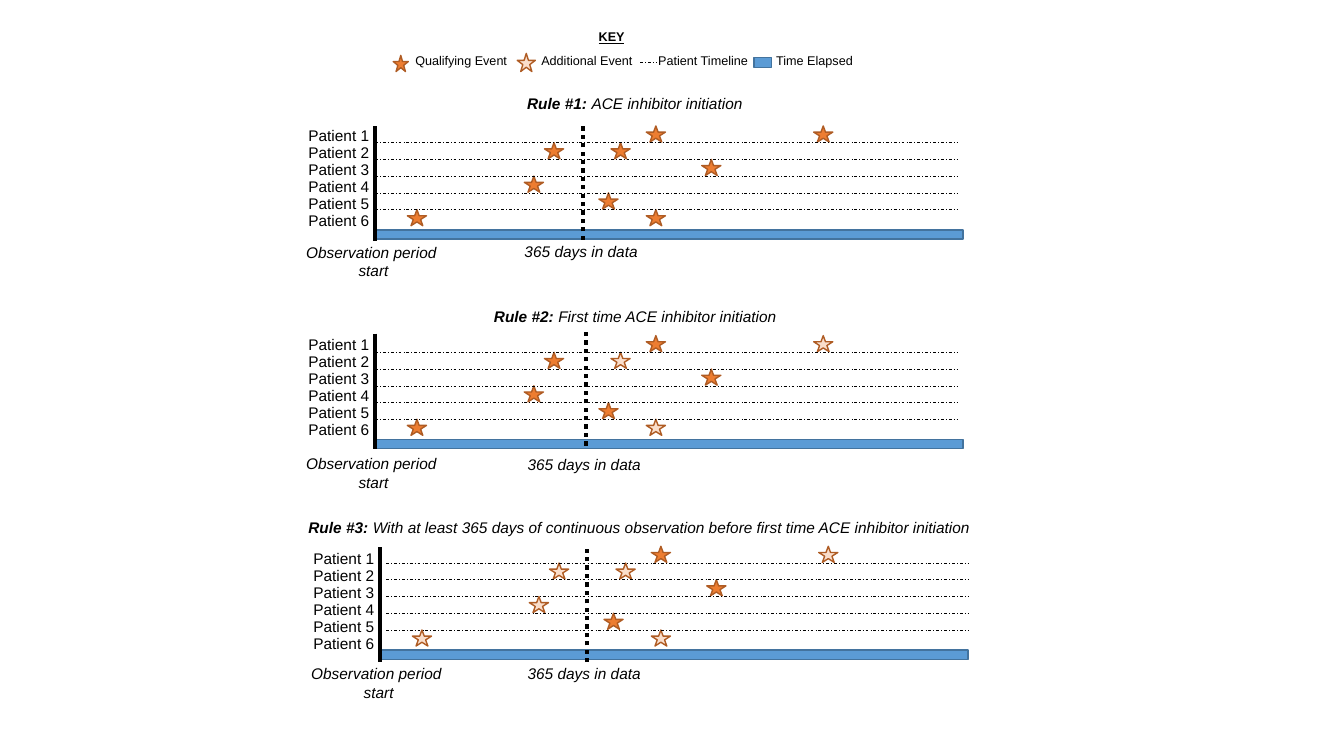
"""Draw patient timelines under three cohort entry rules."""
from dataclasses import dataclass

from lxml import etree
from pptx import Presentation
from pptx.dml.color import RGBColor
from pptx.enum.dml import MSO_LINE
from pptx.enum.shapes import MSO_CONNECTOR, MSO_SHAPE
from pptx.enum.text import PP_ALIGN
from pptx.oxml.ns import qn
from pptx.util import Inches, Pt

STAR = MSO_SHAPE.STAR_5_POINT
BAR = MSO_SHAPE.RECTANGLE
STRAIGHT = MSO_CONNECTOR.STRAIGHT
DASH_DOT = MSO_LINE.DASH_DOT
DOTTED = MSO_LINE.ROUND_DOT
LEFT = PP_ALIGN.LEFT
CENTER = PP_ALIGN.CENTER

BLACK = RGBColor(0x00, 0x00, 0x00)
ORANGE = RGBColor(0xED, 0x7D, 0x31)
DARK_ORANGE = RGBColor(0xAF, 0x5C, 0x24)
BLUE = RGBColor(0x5B, 0x9B, 0xD5)
DARK_BLUE = RGBColor(0x43, 0x73, 0x9E)

PATIENTS = 6
ROW_STEP = 0.166
LABEL_STEP = 0.168
AXIS_HEIGHT = 1.14
EVENTS = [(1, 2.69), (1, 4.35), (2, 1.68), (2, 2.34), (3, 3.24),
          (4, 1.48), (5, 2.22), (6, 0.32), (6, 2.69)]


@dataclass
class Rule:
    name: str
    description: str
    title_box: tuple
    axis: tuple
    first_star_top: float
    first_label_top: float
    timeline_left: float
    year_mark: tuple
    start_caption_top: float
    year_caption: tuple
    additional: set


RULES = [
    Rule("Rule #1: ", "ACE inhibitor initiation", (5.13, 0.88, 2.37, 0.29),
         (3.72, 1.25), 1.25, 1.2, 3.72, (5.78, 1.24), 2.36, (5.1, 2.35), set()),
    Rule("Rule #2: ", "First time ACE inhibitor initiation", (4.8, 3, 3.01, 0.29),
         (3.72, 3.31), 3.33, 3.28, 3.72, (5.81, 3.28), 4.46, (5.13, 4.47), {1, 3, 8}),
    Rule("Rule #3: ",
         "With at least 365 days of continuous observation before first time ACE inhibitor initiation",
         (2.96, 5.09, 6.79, 0.29),
         (3.77, 5.43), 5.42, 5.4, 3.83, (5.82, 5.43), 6.54, (5.13, 6.54),
         {1, 2, 3, 5, 7, 8}),
]


class TimelineSlide:
    """Hold the text style and the slide being drawn."""

    def __init__(self, slide, font="Arial", size=11):
        self.shapes = slide.shapes
        self.font = font
        self.size = size

    def text(self, box, *parts, size=None, bold=False, italic=False,
             underline=False, align=LEFT, wrap=True):
        frame = self.shapes.add_textbox(*map(Inches, box)).text_frame
        frame.word_wrap = wrap
        paragraph = frame.paragraphs[0]
        paragraph.text = parts[0]
        paragraph.alignment = align
        for part in parts[1:]:
            paragraph.add_run().text = part
        for run in paragraph.runs:
            run.font.name = self.font
            run.font.size = Pt(size or self.size)
            run.font.color.rgb = BLACK
            run.font.bold = bold
            run.font.italic = italic
            run.font.underline = underline
        return paragraph

    def block(self, kind, box, fill, outline):
        shape = self.shapes.add_shape(kind, *map(Inches, box))
        shape.shadow.inherit = False
        shape.fill.solid()
        shape.fill.fore_color.rgb = fill
        shape.line.color.rgb = outline
        shape.line.width = Pt(1)
        return shape

    def bar(self, box):
        self.block(BAR, box, BLUE, DARK_BLUE)

    def star(self, box, additional=False):
        shape = self.block(STAR, box, ORANGE, DARK_ORANGE)
        if additional:
            color = shape.element.spPr.find(qn("a:solidFill")).find(qn("a:srgbClr"))
            etree.SubElement(color, qn("a:alpha")).set("val", "25000")

    def line(self, left, top, right, bottom, width, dash=None):
        connector = self.shapes.add_connector(
            STRAIGHT, *map(Inches, (left, top, right, bottom)))
        connector.line.color.rgb = BLACK
        connector.line.width = Pt(width)
        if dash:
            connector.line.dash_style = dash
        etree.SubElement(connector.element.spPr, qn("a:effectLst"))

    def key(self):
        self.text((5.84, 0.24, 0.6, 0.27), "KEY", size=9, bold=True, underline=True)
        self.star((3.9, 0.55, 0.15, 0.16))
        self.star((5.13, 0.53, 0.18, 0.18), additional=True)
        self.line(6.35, 0.62, 6.52, 0.62, 0.5, DASH_DOT)
        self.bar((7.48, 0.57, 0.17, 0.1))
        for left, label in [(4.02, "Qualifying Event"), (5.27, "Additional Event"),
                            (6.43, "Patient Timeline"), (7.6, "Time Elapsed")]:
            self.text((left, 0.48, 1.31, 0.27), label, size=9)

    def rule(self, rule):
        axis_left, axis_top = rule.axis
        mark_left, mark_top = rule.year_mark
        star_top = rule.first_star_top
        title = self.text(rule.title_box, rule.name, rule.description,
                          italic=True, wrap=False)
        title.runs[0].font.bold = True
        self.bar((axis_left - 0.01, star_top + 1.03, 5.84, 0.09))
        for index, (patient, offset) in enumerate(EVENTS):
            top = star_top + (patient - 1) * ROW_STEP
            self.star((axis_left + offset, top, 0.19, 0.16), index in rule.additional)
        for row in range(1, PATIENTS):
            top = star_top + row * ROW_STEP
            self.line(rule.timeline_left, top, rule.timeline_left + 5.77, top,
                      0.5, DASH_DOT)
        for row in range(PATIENTS):
            top = rule.first_label_top + row * LABEL_STEP
            self.text((axis_left - 0.76, top, 0.83, 0.31), f"Patient {row + 1}")
        self.line(axis_left, axis_top, axis_left, axis_top + AXIS_HEIGHT, 3)
        self.line(mark_left, mark_top + AXIS_HEIGHT, mark_left, mark_top, 3, DOTTED)
        self.text((axis_left - 0.79, rule.start_caption_top, 1.55, 0.47),
                  "Observation period \vstart", italic=True, align=CENTER, wrap=False)
        self.text((*rule.year_caption, 1.33, 0.29), "365 days in data",
                  italic=True, align=CENTER, wrap=False)


def main():
    presentation = Presentation()
    presentation.slide_width = Inches(13.33)
    presentation.slide_height = Inches(7.5)
    timeline = TimelineSlide(presentation.slides.add_slide(presentation.slide_layouts[6]))
    timeline.key()
    for rule in RULES:
        timeline.rule(rule)
    presentation.save("out.pptx")


if __name__ == "__main__":
    main()
